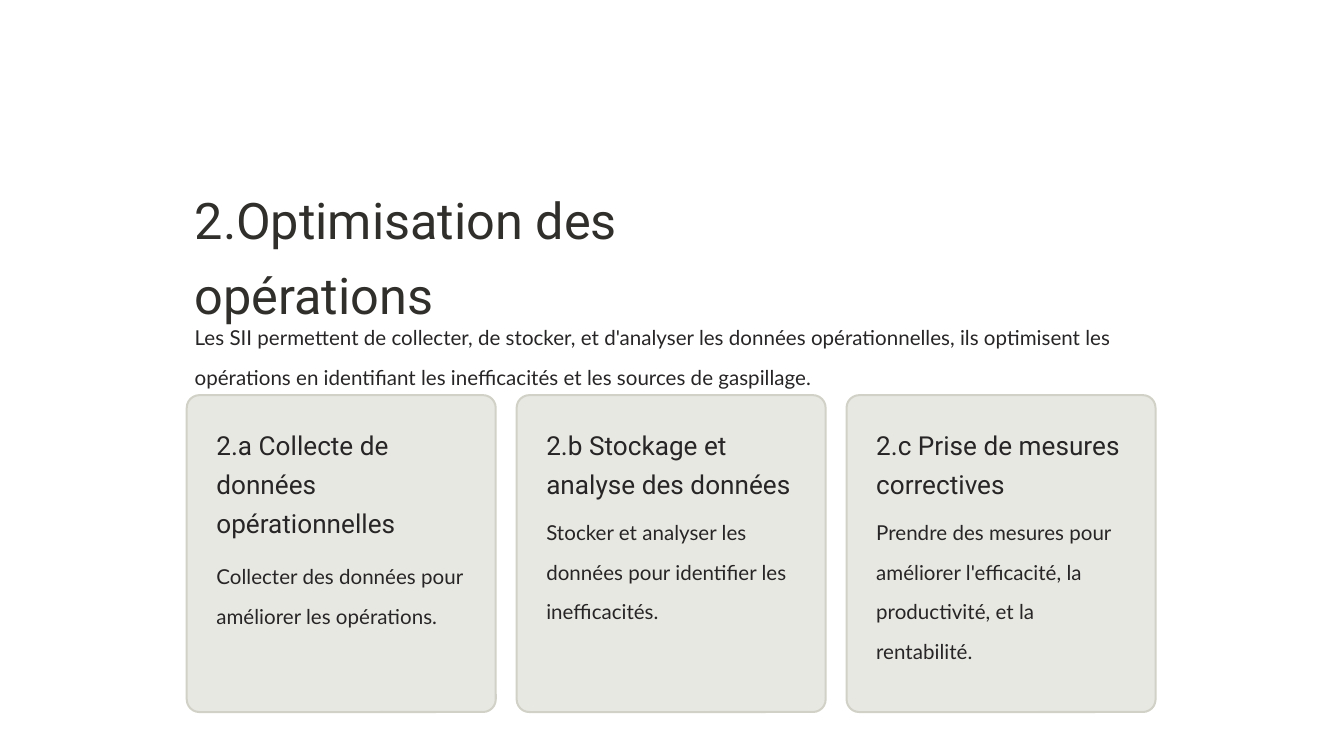
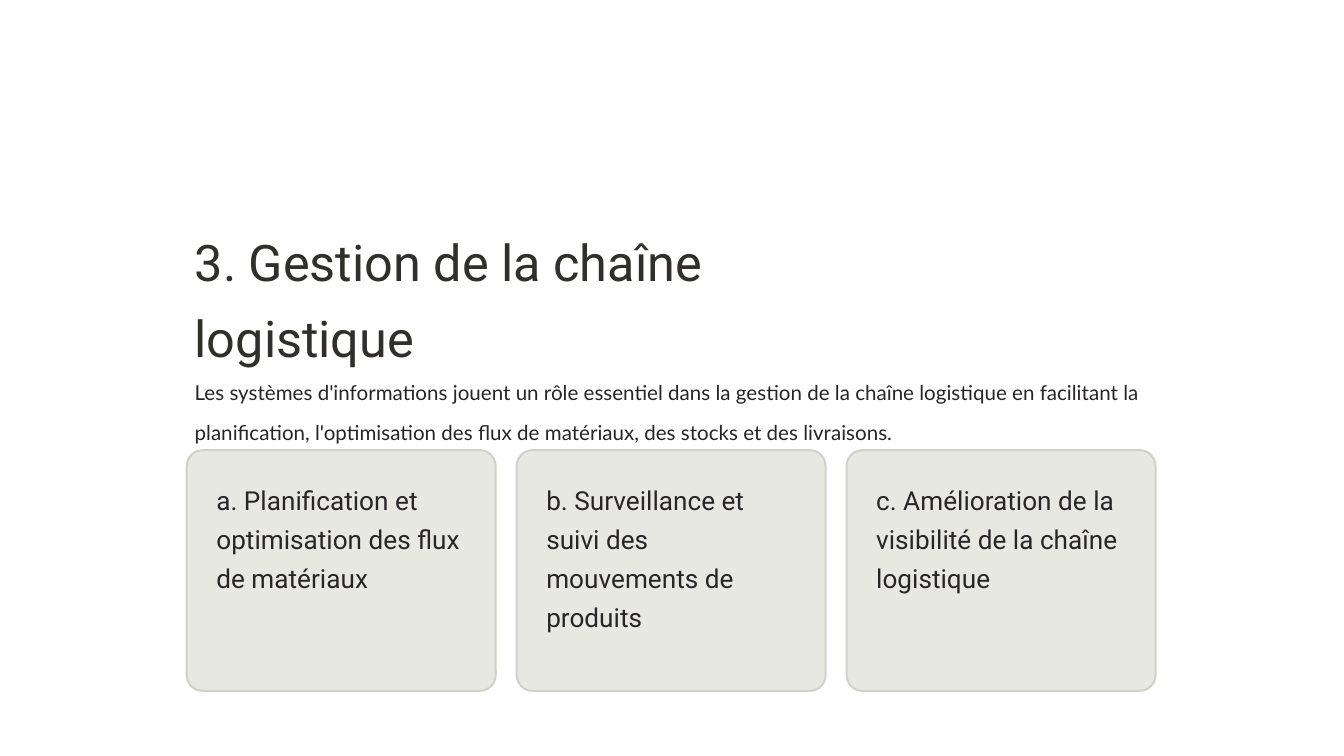
from dataclasses import dataclass

from pptx import Presentation
from pptx import util as u
from pptx.dml.color import RGBColor
from pptx.enum import shapes, text

# Shared style
HEADING_FONT, BODY_FONT = "Roboto", "Lato"
TITLE_COLOR, TEXT_COLOR = "312F2B", "272525"
CARD_FILL, CARD_LINE = "E8E8E3", "D1D1C7"

# Shared grid, in centimetres
LEFT, CONTENT_WIDTH = 3.53, 18.31
CARD_WIDTH, CARD_COUNT = 5.84, 3
CARD_STEP = (CONTENT_WIDTH - CARD_WIDTH) / (CARD_COUNT - 1)
CARD_PADDING = 0.41
INTRO_RISE = 1.68  # from the top of the introduction to the cards
INTRO_HEIGHT = TITLE_HEIGHT = 1.2


@dataclass
class Card:
    heading: str
    body: str = ""
    body_offset: float = 0
    body_height: float = 0


@dataclass
class Topic:
    title: str
    title_top: float
    title_width: float
    intro: str
    card_top: float
    card_height: float
    corner: float
    heading_height: float
    cards: list[Card]


TOPICS = [
    Topic(
        "2.Optimisation des opérations", 3.2, 12.88,
        "Les SII permettent de collecter, de stocker, et d'analyser les données "
        "opérationnelles, ils optimisent les opérations en identifiant les "
        "inefficacités et les sources de gaspillage.",
        7.47, 5.99, 0.041, 1.19,
        [
            Card("2.a Collecte de données opérationnelles",
                 "Collecter des données pour améliorer les opérations.", 2.84, 1.24),
            Card("2.b Stockage et analyse des données",
                 "Stocker et analyser les données pour identifier les inefficacités.",
                 2.01, 1.85),
            Card("2.c Prise de mesures correctives",
                 "Prendre des mesures pour améliorer l'efficacité, la productivité, "
                 "et la rentabilité.", 2.01, 3.38),
        ],
    ),
    Topic(
        "3. Gestion de la chaîne logistique", 4.01, 14,
        "Les systèmes d'informations jouent un rôle essentiel dans la gestion de la "
        "chaîne logistique en facilitant la planification, l'optimisation des flux "
        "de matériaux, des stocks et des livraisons.",
        8.51, 4.55, 0.066, 1.8,
        [
            Card("a. Planification et optimisation des flux de matériaux"),
            Card("b. Surveillance et suivi des mouvements de produits"),
            Card("c. Amélioration de la visibilité de la chaîne logistique"),
        ],
    ),
]


def rgb(value: str) -> RGBColor:
    return RGBColor.from_string(value)


def write(shape, content: str, *, size: float = 11, font: str = BODY_FONT,
          color: str = TEXT_COLOR, spacing: float = 1.6) -> None:
    """Fill a text shape with one formatted paragraph."""
    frame = shape.text_frame
    frame.word_wrap = True
    frame.auto_size = text.MSO_AUTO_SIZE.NONE
    frame.vertical_anchor = text.MSO_ANCHOR.TOP
    frame.margin_left = frame.margin_right = u.Cm(0.15)
    frame.margin_top = frame.margin_bottom = u.Cm(0.08)
    paragraph = frame.paragraphs[0]
    paragraph.alignment = text.PP_ALIGN.LEFT
    paragraph.line_spacing = spacing
    paragraph.space_before = u.Pt(0)
    run = paragraph.add_run()
    run.text = content
    run.font.name = font
    run.font.size = u.Pt(size)
    run.font.color.rgb = rgb(color)


def add_text(slide, content: str, left: float, top: float, width: float,
             height: float, **style) -> None:
    box = slide.shapes.add_textbox(u.Cm(left), u.Cm(top), u.Cm(width), u.Cm(height))
    write(box, content, **style)


def add_title(slide, topic: Topic) -> None:
    title = slide.shapes.title
    title.left, title.top = u.Cm(LEFT), u.Cm(topic.title_top)
    title.width, title.height = u.Cm(topic.title_width), u.Cm(TITLE_HEIGHT)
    write(title, topic.title, size=27, font=HEADING_FONT, color=TITLE_COLOR,
          spacing=1.25)


def add_card(slide, topic: Topic, card: Card, left: float) -> None:
    panel = slide.shapes.add_shape(
        shapes.MSO_SHAPE.ROUNDED_RECTANGLE, u.Cm(left), u.Cm(topic.card_top),
        u.Cm(CARD_WIDTH), u.Cm(topic.card_height))
    panel.adjustments[0] = topic.corner
    panel.shadow.inherit = False
    panel.fill.solid()
    panel.fill.fore_color.rgb = rgb(CARD_FILL)
    panel.line.color.rgb = rgb(CARD_LINE)
    panel.line.width = u.Pt(1.09)

    text_left = left + CARD_PADDING
    text_width = CARD_WIDTH - 2 * CARD_PADDING
    add_text(slide, card.heading, text_left, topic.card_top + CARD_PADDING,
             text_width, topic.heading_height, size=14, font=HEADING_FONT,
             spacing=1.25)
    if card.body:
        add_text(slide, card.body, text_left, topic.card_top + card.body_offset,
                 text_width, card.body_height)


def add_topic_slide(presentation, topic: Topic) -> None:
    title_only = presentation.slide_layouts.get_by_name("Title Only")
    slide = presentation.slides.add_slide(title_only)
    add_title(slide, topic)
    add_text(slide, topic.intro, LEFT, topic.card_top - INTRO_RISE,
             CONTENT_WIDTH, INTRO_HEIGHT)
    for column, card in enumerate(topic.cards):
        add_card(slide, topic, card, LEFT + column * CARD_STEP)


def main() -> None:
    presentation = Presentation()
    presentation.slide_width = u.Cm(25.4)
    presentation.slide_height = u.Cm(14.29)
    for topic in TOPICS:
        add_topic_slide(presentation, topic)
    presentation.save("out.pptx")


if __name__ == "__main__":
    main()
